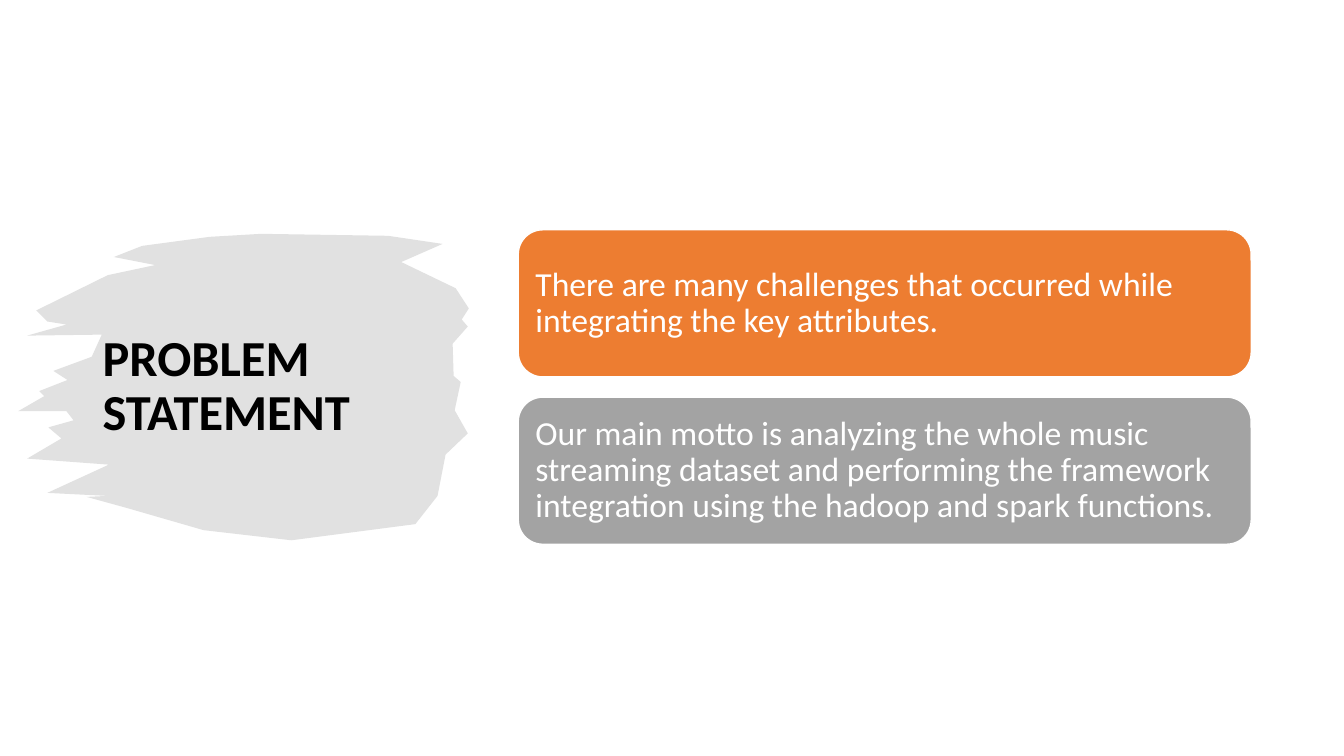
from pptx import Presentation
from pptx import util as u
from pptx.dml.color import RGBColor
from pptx.enum import shapes, text

COLORS = {"brush": "E1E1E1", "title": "000000", "white": "FFFFFF",
          "orange": "ED7D31", "gray": "A3A3A3"}
FONT = "Calibri"
TITLE = "PROBLEM STATEMENT"
CARDS = [
    ("orange", "There are many challenges that occurred while integrating the key attributes."),
    ("gray", "Our main motto is analyzing the whole music streaming dataset and performing "
             "the framework integration using the hadoop and spark functions."),
]
# Outline of the brush stroke, clockwise, in hundredths of an inch
BRUSH = [
    (208, 235), (259, 232), (385, 234), (439, 242), (398, 260), (452, 286),
    (465, 306), (458, 317), (464, 324), (449, 341), (450, 373), (457, 379),
    (451, 407), (464, 430), (442, 451), (434, 492), (412, 520), (289, 536),
    (202, 526), (126, 504), (86, 493), (107, 492), (47, 489), (108, 461),
    (27, 455), (61, 435), (48, 424), (73, 417), (66, 408), (18, 408),
    (44, 393), (39, 388), (67, 377), (53, 368), (91, 354), (101, 332),
    (27, 333), (66, 322), (47, 319), (36, 308), (107, 273), (154, 263),
    (113, 255), (141, 244),
]
CARD_LEFT, CARD_TOP, CARD_WIDTH, CARD_HEIGHT, CARD_STEP = 5.14, 2.28, 7.27, 1.46, 1.66
CARD_INSET = 0.17


def rgb(name):
    return RGBColor.from_string(COLORS[name])


def write(shape, words, *, size, color, bold=False, inset=None):
    frame = shape.text_frame
    frame.word_wrap = True
    frame.vertical_anchor = text.MSO_ANCHOR.MIDDLE
    if inset is not None:
        frame.margin_left = frame.margin_right = u.Inches(inset)
        frame.margin_top = frame.margin_bottom = u.Inches(inset)
    paragraph = frame.paragraphs[0]
    paragraph.alignment = text.PP_ALIGN.LEFT
    paragraph.line_spacing = 0.9
    run = paragraph.add_run()
    run.text = words
    run.font.name, run.font.size, run.font.bold = FONT, u.Pt(size), bold
    run.font.color.rgb = rgb(color)


def paint(shape, fill, line=None):
    shape.shadow.inherit = False
    shape.fill.solid()
    shape.fill.fore_color.rgb = rgb(fill)
    if line:
        shape.line.color.rgb = rgb(line)
        shape.line.width = u.Pt(1)
    else:
        shape.line.fill.background()


def main():
    presentation = Presentation()
    presentation.slide_width, presentation.slide_height = u.Inches(13.33), u.Inches(7.5)
    slide = presentation.slides.add_slide(presentation.slide_layouts[6])

    builder = slide.shapes.build_freeform(*BRUSH[0], scale=u.Inches(0.01))
    builder.add_line_segments(BRUSH[1:], close=True)
    paint(builder.convert_to_shape(), "brush")

    title = slide.shapes.add_textbox(*map(u.Inches, (0.92, 1.64, 3.52, 4.4)))
    write(title, TITLE, size=36, color="title", bold=True)

    for row, (fill, words) in enumerate(CARDS):
        box = (CARD_LEFT, CARD_TOP + row * CARD_STEP, CARD_WIDTH, CARD_HEIGHT)
        card = slide.shapes.add_shape(shapes.MSO_SHAPE.ROUNDED_RECTANGLE, *map(u.Inches, box))
        paint(card, fill, line="white")
        # The shape's text area already lies inside its rounded corners
        corner = CARD_HEIGHT * card.adjustments[0] * 0.29
        write(card, words, size=24, color="white", inset=CARD_INSET - corner)

    presentation.save("out.pptx")


if __name__ == "__main__":
    main()
